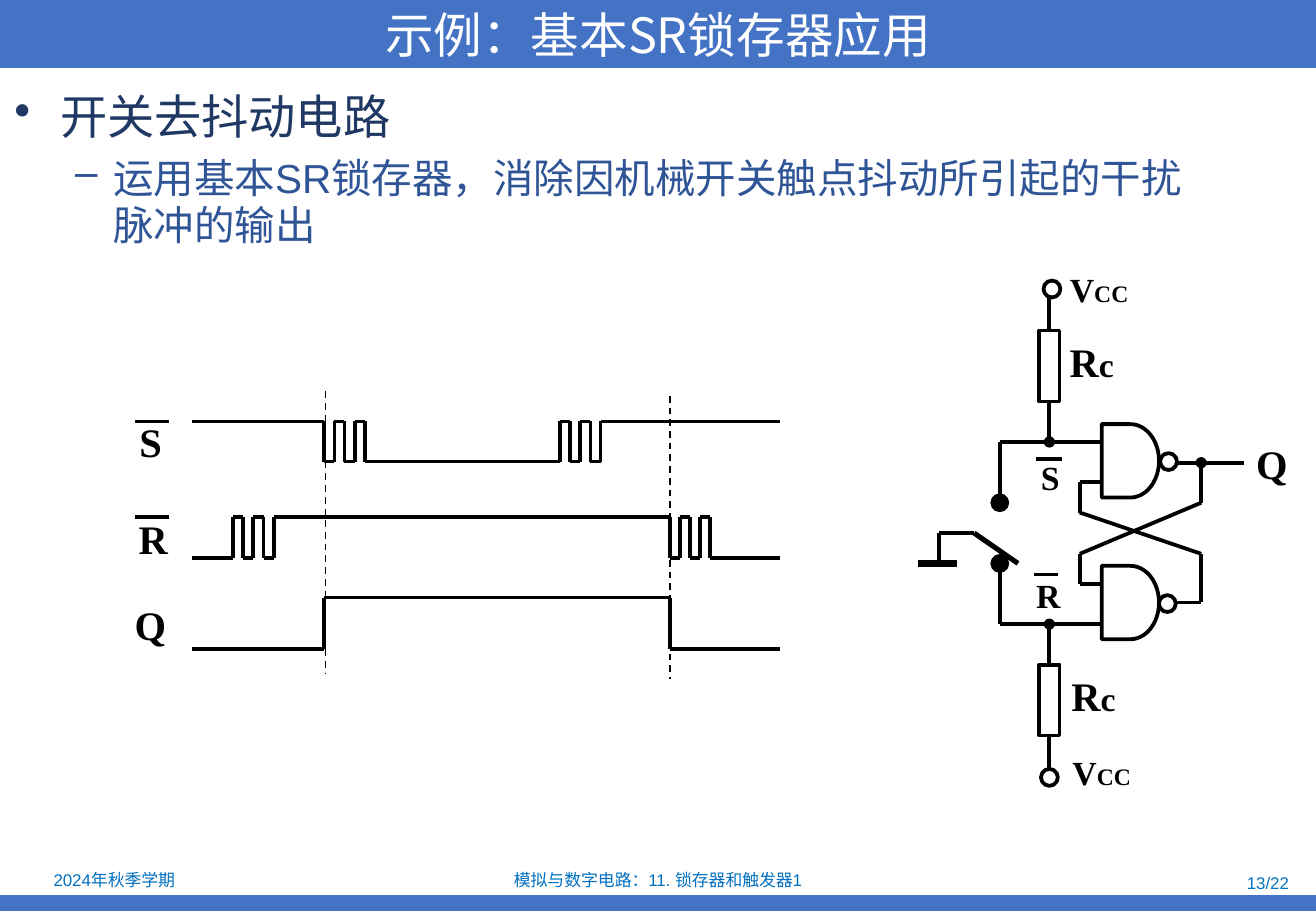
from itertools import pairwise

from lxml.etree import SubElement
from pptx import Presentation
from pptx.dml.color import RGBColor
from pptx.enum.dml import MSO_LINE
from pptx.enum.shapes import MSO_CONNECTOR, MSO_SHAPE
from pptx.enum.text import MSO_ANCHOR, PP_ALIGN
from pptx.oxml.ns import qn
from pptx.util import Pt

# Content
TITLE = "示例：基本SR锁存器应用"
# text, size, colour, left margin, hanging indent, bullet, line height, space before
BODY = [
    ("开关去抖动电路", 28, "heading", 27, 27, "•", 36, 0),
    ("运用基本SR锁存器，消除因机械开关触点抖动所引起的干扰脉冲的输出",
     24, "detail", 58.5, 22.5, "–", 27.8, 6),
]
# text, left, top, width, height, alignment
FOOTERS = [
    ("2024年秋季学期", 1.5, 513.5, 132.5, 16.5, PP_ALIGN.CENTER),
    ("模拟与数字电路：11. 锁存器和触发器1", 266.5, 514, 247, 15, PP_ALIGN.CENTER),
    ("13/22", 589, 515.5, 182, 15, PP_ALIGN.RIGHT),
]
# (text, size) runs, left, top, width
VCC = [("V", 20), ("CC", 14)]
RESISTANCE = [("R", 24), ("c", 20)]
LABELS = [
    (VCC, 628.5, 442, 49), (VCC, 627, 155.5, 49),
    (RESISTANCE, 627, 196, 41), (RESISTANCE, 628, 394, 41),
    ([("Q", 24)], 737.5, 256.5, 33),
    ([("R", 20)], 607, 337, 29), ([("S", 20)], 609.8, 267, 26),
    ([("S", 24)], 75.5, 243.5, 28), ([("R", 24)], 75, 301, 32),
    ([("Q", 24)], 72.7, 352, 33),
]
# x start, x end, y of the bar above a negated label
OVERLINES = [(614.2, 629.3, 272.2), (612.7, 627.1, 340.6),
             (80, 100, 249.8), (80, 100, 306.7)]

# Timing diagram
WAVE_START, WAVE_END, BOUNCE = 113.8, 462.2, 6
RISE, FALL = 192.2, 397


def bounce(first):
    return [first + BOUNCE * count for count in range(5)]


# high y, low y, starts high, switching times
WAVES = [
    (249.8, 273.6, True, bounce(RISE) + bounce(332)),
    (306.7, 331, False, bounce(138.2) + bounce(FALL)),
    (354.2, 384.5, False, [RISE, FALL]),
]
GUIDES = [(193, 232, 399.6), (FALL, 234.7, 402.5)]

# Circuit: dot size at the first point, then the corners
CONTACT_X, SUPPLY_X, GATE_X, FEEDBACK_X, OUTPUT_X = 592.6, 622, 652.3, 640, 712
SET_Y, RESET_Y = 262, 370
WIRES = [
    (None, [(688.3, 274.3), (737.3, 274.3)]),
    ("med", [(OUTPUT_X, 274.3), (OUTPUT_X, 298), (FEEDBACK_X, 328.3),
             (FEEDBACK_X, 346.3), (GATE_X, 346.3)]),
    (None, [(688.3, 357.1), (OUTPUT_X, 357.1), (OUTPUT_X, 328.3),
            (FEEDBACK_X, 303.8), (FEEDBACK_X, 285.8), (GATE_X, 285.8)]),
    ("lg", [(CONTACT_X, 298), (CONTACT_X, SET_Y), (GATE_X, SET_Y)]),
    ("lg", [(CONTACT_X, 334), (CONTACT_X, RESET_Y), (GATE_X, RESET_Y)]),
    (None, [(577.4, 316), (556.6, 316), (556.6, 334)]),
    ("med", [(SUPPLY_X, RESET_Y), (SUPPLY_X, 394)]),
    (None, [(SUPPLY_X, 436), (SUPPLY_X, 460)]),
    ("med", [(SUPPLY_X, SET_Y), (SUPPLY_X, 238)]),
    (None, [(SUPPLY_X, 196), (SUPPLY_X, 172)]),
]
RESISTOR_TOPS = [196, 394]
GATE_TOPS = [251.4, 335.4]
RINGS = [(687.6, 268.6), (617, 455.8), (618.5, 166.3), (686.9, 352.8)]

THEME = {
    "bar": "4472C4", "white": "FFFFFF", "heading": "203864",
    "detail": "2F5597", "footer": "0070C0", "ink": "000000",
    "latin": "Arial", "cjk": "Noto Sans CJK SC", "serif": "Times New Roman",
    "title_size": 28.8, "footer_size": 10,
    "wire": 2.25, "switch": 3, "ground": 4.5, "guide": 1,
}


def color(name):
    return RGBColor.from_string(THEME[name])


def style(target, size, ink, face="latin", bold=False):
    font = target.font
    font.size, font.name, font.bold = Pt(size), THEME[face], bold
    font.color.rgb = color(ink)


def write(para, text, size, ink, face="latin"):
    span = para.add_run()
    span.text = text
    style(span, size, ink, face)
    properties = span.font._element if hasattr(span.font, "_element") else span._r.rPr
    SubElement(properties, qn("a:ea"), typeface=THEME["cjk"])


def add_text(page, left, top, width, height, wrap=True):
    box = page.shapes.add_textbox(Pt(left), Pt(top), Pt(width), Pt(height))
    box.text_frame.word_wrap = wrap
    return box.text_frame


def add_figure(page, kind, left, top, width, height, fill=None, outline=True):
    figure = page.shapes.add_shape(kind, Pt(left), Pt(top), Pt(width), Pt(height))
    figure.shadow.inherit = False
    if fill:
        figure.fill.solid()
        figure.fill.fore_color.rgb = color(fill)
    else:
        figure.fill.background()
    if outline:
        figure.line.color.rgb = color("ink")
        figure.line.width = Pt(THEME["wire"])
    else:
        figure.line.fill.background()
    return figure


def add_path(page, points, weight="wire", dot=None, dashed=False):
    for index, (start, end) in enumerate(pairwise(points)):
        line = page.shapes.add_connector(
            MSO_CONNECTOR.STRAIGHT, *(Pt(value) for value in start + end))
        line.line.color.rgb = color("ink")
        line.line.width = Pt(THEME[weight])
        if dashed:
            line.line.dash_style = MSO_LINE.DASH
        properties = line._element.spPr
        if dot and index == 0:
            SubElement(properties.find(qn("a:ln")), qn("a:headEnd"),
                       type="oval", w=dot, len=dot)
        SubElement(properties, qn("a:effectLst"))


deck = Presentation()
deck.slide_width, deck.slide_height = Pt(780), Pt(540)
page = deck.slides.add_slide(deck.slide_layouts[6])

# Title and bottom bars
add_figure(page, MSO_SHAPE.RECTANGLE, 0, 530.6, 780, 9.4, "bar", False)
title = add_figure(page, MSO_SHAPE.RECTANGLE, 0, 0, 780, 40.3, "bar", False).text_frame
title.vertical_anchor = MSO_ANCHOR.MIDDLE
title.paragraphs[0].alignment = PP_ALIGN.CENTER
write(title.paragraphs[0], TITLE, THEME["title_size"], "white", "cjk")

# Body text
body = add_text(page, 1.5, 46, 712, 130)
for level, (text, size, ink, margin, hang, bullet, height, before) in enumerate(BODY):
    para = body.add_paragraph() if level else body.paragraphs[0]
    para.level = level
    properties = para._p.get_or_add_pPr()
    properties.set("marL", str(Pt(margin)))
    properties.set("indent", str(-Pt(hang)))
    SubElement(properties, qn("a:buChar"), char=bullet)
    para.line_spacing, para.space_before = Pt(height), Pt(before)
    write(para, text, size, ink)

# Footers
for text, left, top, width, height, alignment in FOOTERS:
    footer = add_text(page, left, top, width, height)
    footer.vertical_anchor = MSO_ANCHOR.MIDDLE
    footer.paragraphs[0].alignment = alignment
    write(footer.paragraphs[0], text, THEME["footer_size"], "footer")

# Circuit
for dot, points in WIRES:
    add_path(page, points, dot=dot)
add_path(page, [(544.3, 334), (567.4, 334)], "ground")
add_path(page, [(577.4, 316), (603.4, 334)], "switch")
for top in RESISTOR_TOPS:
    add_figure(page, MSO_SHAPE.RECTANGLE, SUPPLY_X - 6, top, 12, 42)
for top in GATE_TOPS:
    add_figure(page, MSO_SHAPE.FLOWCHART_DELAY, 653, top, 34, 43.5, "white")
for left, top in RINGS:
    add_figure(page, MSO_SHAPE.OVAL, left, top, 10, 10, "white")

# Waveforms
for high, low, is_high, times in WAVES:
    points = [(WAVE_START, high if is_high else low)]
    for time in times:
        is_high = not is_high
        points += [(time, points[-1][1]), (time, high if is_high else low)]
    add_path(page, points + [(WAVE_END, points[-1][1])])
for x, top, bottom in GUIDES:
    add_path(page, [(x, top), (x, bottom)], "guide", dashed=True)

# Labels
for runs, left, top, width in LABELS:
    para = add_text(page, left, top, width, runs[0][1] * 1.5, False).paragraphs[0]
    for text, size in runs:
        span = para.add_run()
        span.text = text
        style(span, size, "ink", "serif", True)
for start, end, y in OVERLINES:
    add_path(page, [(start, y), (end, y)])

deck.save("out.pptx")
